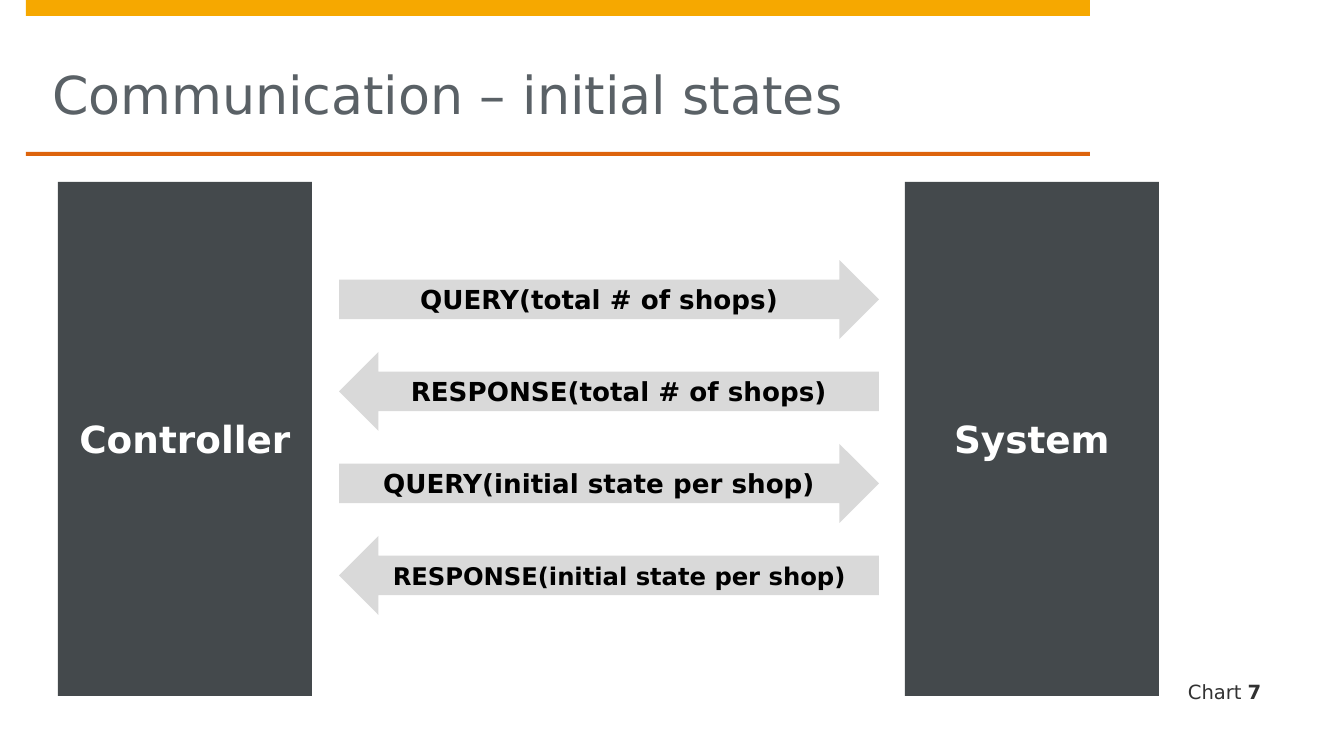
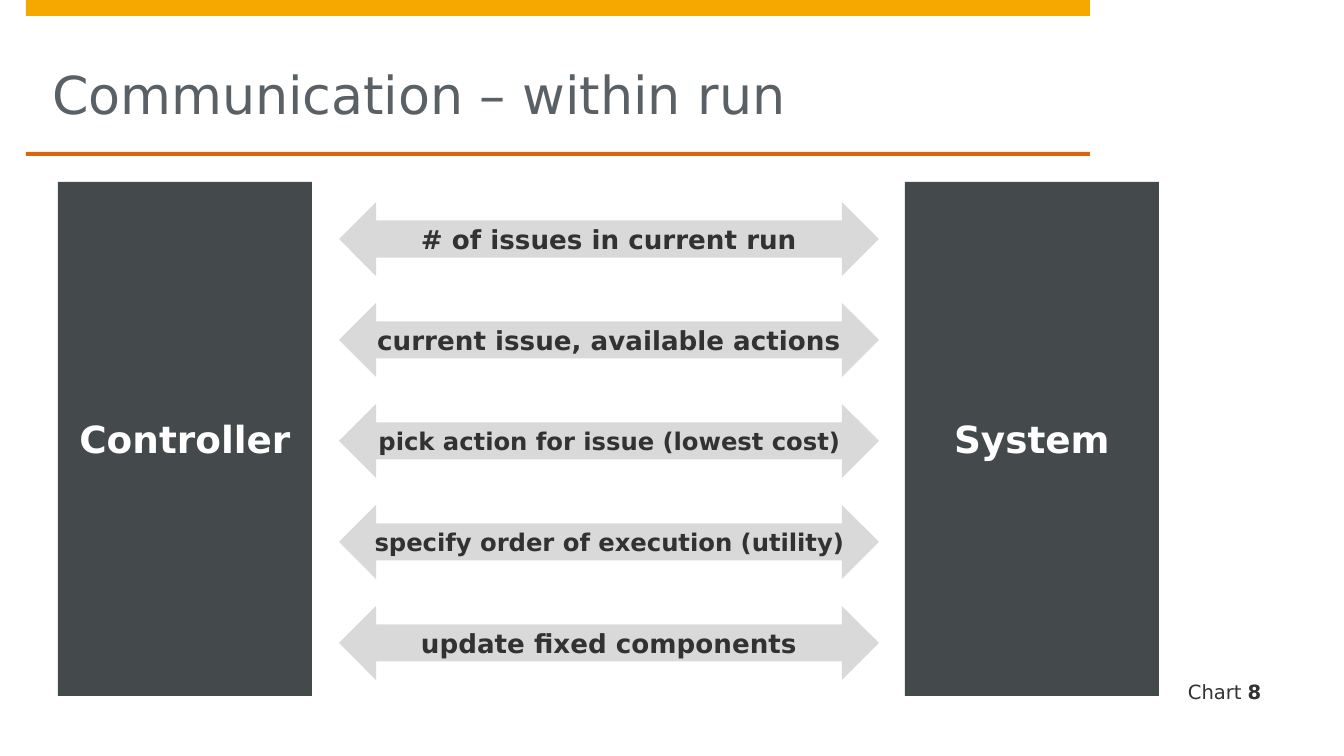
from pptx import Presentation
from pptx.dml.color import RGBColor
from pptx.enum.shapes import MSO_SHAPE
from pptx.enum.text import MSO_ANCHOR, MSO_AUTO_SIZE, PP_ALIGN
from pptx.util import Pt

EMU_PER_PX = 914400 / 134.4
SLIDE_WIDTH, SLIDE_HEIGHT = 1344, 756
FONT = "DejaVu Sans"
AMBER, ORANGE, SLATE = "F6A800", "DD640C", "44494C"
LIGHT_GREY, TITLE_GREY, DARK_GREY = "D9D9D9", "5A6166", "323232"
BLACK, WHITE = "000000", "FFFFFF"

RECTANGLE = MSO_SHAPE.RECTANGLE
REQUEST = MSO_SHAPE.RIGHT_ARROW
REPLY = MSO_SHAPE.LEFT_ARROW
EXCHANGE = MSO_SHAPE.LEFT_RIGHT_ARROW
LEFT, CENTER = PP_ALIGN.LEFT, PP_ALIGN.CENTER
MIDDLE, BOTTOM = MSO_ANCHOR.MIDDLE, MSO_ANCHOR.BOTTOM
NO_AUTOFIT = MSO_AUTO_SIZE.NONE

DIAGRAM_BOX = (58, 182, 1101, 514)
PARTY_WIDTH = 254
ARROW_GAP = 27


def px(length):
    return round(length * EMU_PER_PX)


def color(hex_value):
    return RGBColor.from_string(hex_value)


def format_run(run, size, hex_value, bold=False):
    run.font.name = FONT
    run.font.size = Pt(size)
    run.font.bold = bold
    run.font.color.rgb = color(hex_value)


def set_frame(text_frame, anchor, insets):
    """Insets are left, top, right and bottom in px."""
    text_frame.word_wrap = True
    text_frame.auto_size = NO_AUTOFIT
    text_frame.vertical_anchor = anchor
    (text_frame.margin_left, text_frame.margin_top,
     text_frame.margin_right, text_frame.margin_bottom) = map(px, insets)


def add_block(slide, kind, box, fill):
    shape = slide.shapes.add_shape(kind, *map(px, box))
    shape.shadow.inherit = False
    shape.fill.solid()
    shape.fill.fore_color.rgb = color(fill)
    shape.line.fill.background()
    return shape


def add_label_block(slide, kind, box, fill, label, size, text_color):
    text_frame = add_block(slide, kind, box, fill).text_frame
    set_frame(text_frame, MIDDLE, (16, 11, 16, 11))
    text_frame.text = label
    paragraph = text_frame.paragraphs[0]
    paragraph.alignment = CENTER
    paragraph.space_before = paragraph.space_after = Pt(3)
    format_run(paragraph.runs[0], size, text_color, bold=True)


def add_header(slide, title, box):
    left, top, width, height = box
    add_block(slide, RECTANGLE, (left, top, width, 16), AMBER)
    add_block(slide, RECTANGLE, (left, top + height - 4, width, 4), ORANGE)
    placeholder = slide.shapes.title
    placeholder.left, placeholder.top = px(left + 26), px(top + 16)
    placeholder.width, placeholder.height = px(width - 53), px(height - 20)
    set_frame(placeholder.text_frame, BOTTOM, (0, 0, 0, 27))
    placeholder.text_frame.text = title
    paragraph = placeholder.text_frame.paragraphs[0]
    paragraph.alignment = LEFT
    format_run(paragraph.runs[0], 28, TITLE_GREY)


def add_footer(slide, number, box):
    text_frame = slide.shapes.add_textbox(*map(px, box)).text_frame
    set_frame(text_frame, BOTTOM, (16, 0, 0, 0))
    for text, bold in (("Chart ", False), (str(number), True)):
        run = text_frame.paragraphs[0].add_run()
        run.text = text
        format_run(run, 10.5, DARK_GREY, bold)


def add_diagram(slide, box, messages, offset, pitch, arrow_height, text_color):
    """Messages are (arrow kind, label, text size), stacked between two parties."""
    left, top, width, height = box
    for party, party_left in (("Controller", left),
                              ("System", left + width - PARTY_WIDTH)):
        add_label_block(slide, RECTANGLE, (party_left, top, PARTY_WIDTH, height),
                        SLATE, party, 20, WHITE)
    arrow_left = left + PARTY_WIDTH + ARROW_GAP
    arrow_width = width - 2 * (PARTY_WIDTH + ARROW_GAP) + 1
    for index, (kind, label, size) in enumerate(messages):
        arrow_box = (arrow_left, top + offset + index * pitch, arrow_width, arrow_height)
        add_label_block(slide, kind, arrow_box, LIGHT_GREY, label, size, text_color)


def add_communication_slide(presentation, number, title, **diagram):
    slide = presentation.slides.add_slide(presentation.slide_layouts[5])
    add_header(slide, title, (26, 0, 1064, 156))
    add_footer(slide, number, (1172, 677, 172, 27))
    add_diagram(slide, DIAGRAM_BOX, **diagram)


def main():
    presentation = Presentation()
    presentation.slide_width = px(SLIDE_WIDTH)
    presentation.slide_height = px(SLIDE_HEIGHT)
    add_communication_slide(
        presentation, 7, "Communication – initial states",
        messages=[
            (REQUEST, "QUERY(total # of shops)", 14),
            (REPLY, "RESPONSE(total # of shops)", 14),
            (REQUEST, "QUERY(initial state per shop)", 14),
            (REPLY, "RESPONSE(initial state per shop)", 13),
        ],
        offset=78, pitch=92, arrow_height=79, text_color=BLACK)
    add_communication_slide(
        presentation, 8, "Communication – within run",
        messages=[
            (EXCHANGE, "# of issues in current run", 14),
            (EXCHANGE, "current issue, available actions", 14),
            (EXCHANGE, "pick action for issue (lowest cost)", 13),
            (EXCHANGE, "specify order of execution (utility)", 13),
            (EXCHANGE, "update fixed components", 14),
        ],
        offset=20, pitch=101, arrow_height=74, text_color=DARK_GREY)
    presentation.save("out.pptx")


if __name__ == "__main__":
    main()
